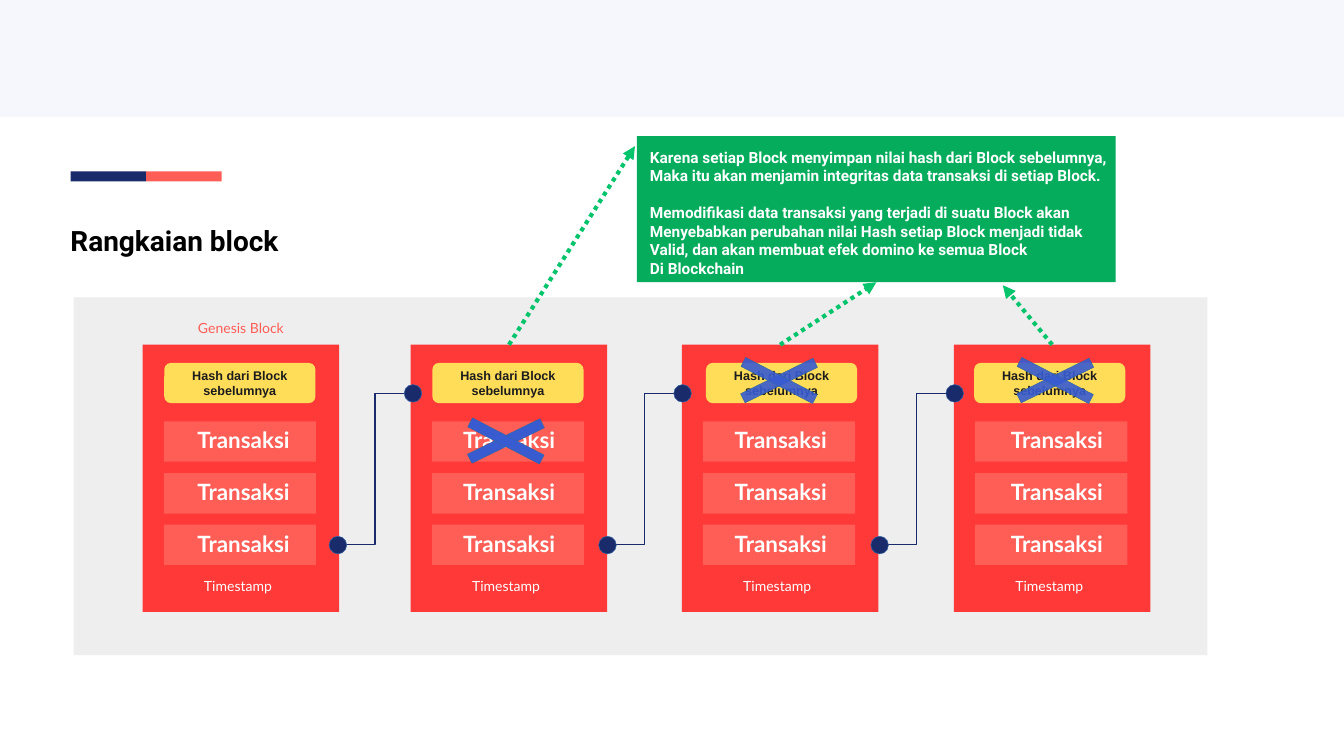
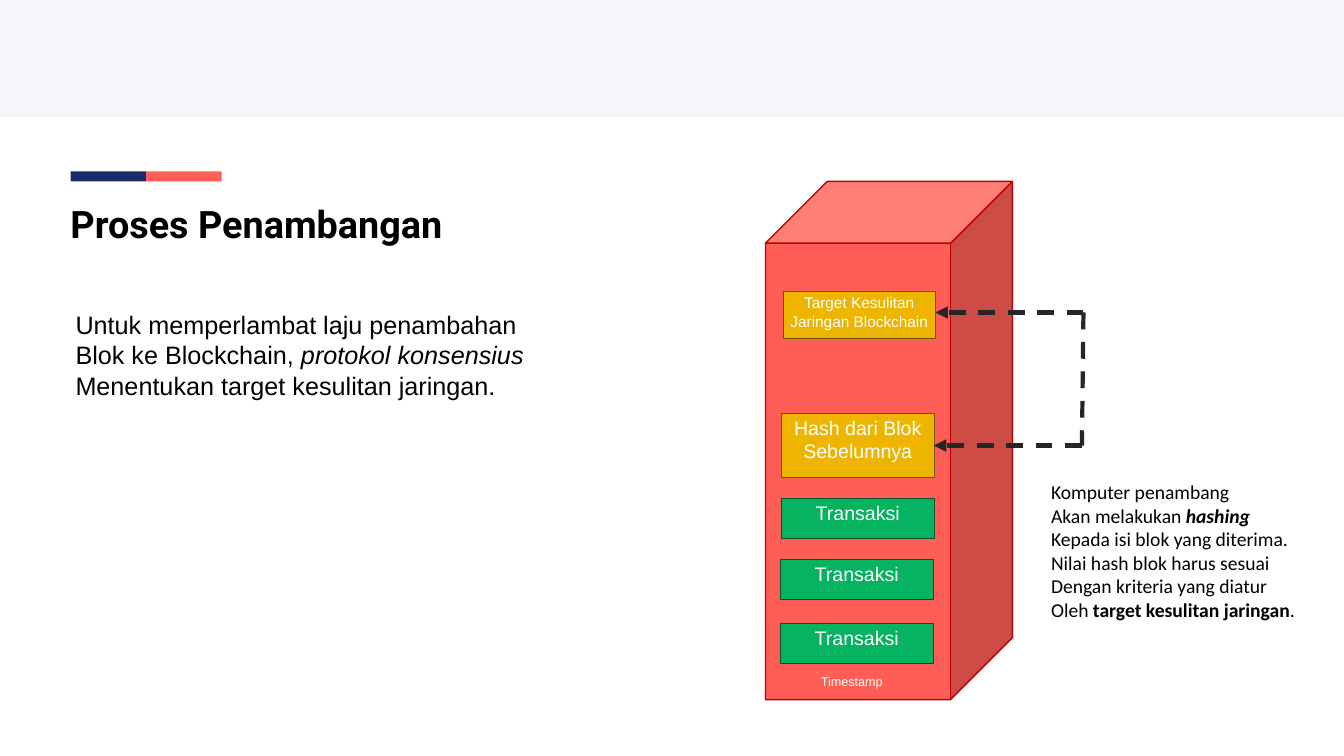
from dataclasses import dataclass

from lxml.etree import SubElement
from pptx import Presentation
from pptx.dml.color import RGBColor
from pptx.enum.dml import MSO_LINE as DASH
from pptx.enum.shapes import MSO_CONNECTOR as LINK, MSO_SHAPE as SHAPE
from pptx.enum.text import MSO_ANCHOR as ANCHOR, MSO_AUTO_SIZE as FIT, PP_ALIGN as ALIGN
from pptx.oxml.ns import qn
from pptx.util import Emu, Pt

PX = 9144  # 100 px to the inch
SLIDE_W, SLIDE_H = 2667, 1500


@dataclass(frozen=True)
class Theme:
    band: str = "F5F7FD"
    navy: str = "1A2B6B"
    coral: str = "FF5E57"
    red: str = "FF3838"
    panel: str = "EEEEEE"
    yellow: str = "FFDD59"
    ink: str = "1C1C1C"
    black: str = "000000"
    white: str = "FFFFFF"
    cross: str = "375BD2"
    edge: str = "3465A4"
    callout: str = "04AC5C"
    arrow: str = "05C46B"
    cube_edge: str = "C00000"
    green: str = "05B360"
    green_edge: str = "02522C"
    gold: str = "EEB500"
    gold_edge: str = "705500"
    dash: str = "262626"
    title_font: str = "Roboto"
    block_font: str = "Lato"
    body_font: str = "Arial"
    note_font: str = "Calibri"
    thin: float = 0.75
    medium: int = 2
    thick: int = 6
    tiny: int = 18
    small: int = 20
    callout_size: int = 22
    label: int = 28
    bar: int = 32
    body: int = 36
    title: int = 40
    big_title: int = 54


T = Theme()

# Content: slide 1
CHAIN_TITLE = "Rangkaian block"
HASH_LINES = ["Hash dari Block", "sebelumnya"]
# block left, hash pill offset, bar label offset
BLOCKS = [(283, 43, 57), (815, 43, 52), (1353, 48, 53), (1893, 40, 61)]
BAR_TOPS = [836, 939, 1041]
LINK_STARTS = [664, 1199, 1739]
CROSSES = [(924, 865, 99), (1466, 745, 90), (2014, 745, 90)]  # left, top, opacity
CALLOUT_ARROWS = [(1010, 684, 1260, 290), (1548, 684, 1739, 560), (2088, 684, 1990, 566)]
CALLOUT = [
    "Karena setiap Block menyimpan nilai hash dari Block sebelumnya,",
    "Maka itu akan menjamin integritas data transaksi di setiap Block.",
    "Memodifikasi data transaksi yang terjadi di suatu Block akan",
    "Menyebabkan perubahan nilai Hash setiap Block menjadi tidak",
    "Valid, dan akan membuat efek domino ke semua Block",
    "Di Blockchain",
]
CALLOUT_BREAK = 2  # line that opens the second passage

# Content: slide 2; mixed lines are (text, marks) pairs, b = bold, i = italic
MINING_TITLE = "Proses Penambangan"
MINING_INTRO = [
    "Untuk memperlambat laju penambahan",
    [("Blok ke Blockchain, ", ""), ("protokol konsensius", "i")],
    "Menentukan target kesulitan jaringan.",
]
MINING_NOTE = [
    "Komputer penambang",
    [("Akan melakukan ", ""), ("hashing", "bi")],
    "Kepada isi blok yang diterima.",
    "Nilai hash blok harus sesuai",
    "Dengan kriteria yang diatur",
    [("Oleh ", ""), ("target kesulitan jaringan", "b"), (".", "")],
]
# left, top, height, lines, type size, fill, edge
GREEN, GOLD = (T.green, T.green_edge), (T.gold, T.gold_edge)
FIELDS = [
    (1549, 1237, 80, ["Transaksi"], T.label, *GREEN),
    (1549, 1109, 80, ["Transaksi"], T.label, *GREEN),
    (1551, 989, 80, ["Transaksi"], T.label, *GREEN),
    (1551, 820, 127, ["Hash dari Blok", "Sebelumnya"], T.label, *GOLD),
    (1554, 577, 94, ["Target Kesulitan", "Jaringan Blockchain"], T.callout_size, *GOLD),
]
# start, end, has arrowhead
BRACKET = [
    (2150, 620, 1856, 620, True),
    (2147, 884, 1853, 884, True),
    (2150, 620, 2147, 884, False),
]


# Drawing helpers
def px(*values):
    return [Emu(v * PX) for v in values]


def rgb(color):
    return RGBColor.from_string(color)


def shape(s, kind, box, fill, edge=None, width=T.thin):
    sp = s.shapes.add_shape(kind, *px(*box))
    sp.shadow.inherit = False
    sp.fill.solid()
    sp.fill.fore_color.rgb = rgb(fill)
    if edge:
        sp.line.color.rgb = rgb(edge)
        sp.line.width = Pt(width)
    else:
        sp.line.fill.background()
    return sp


def write(sp, lines, font, size, color, bold=False, align=ALIGN.LEFT,
          anchor=ANCHOR.TOP, wrap=True):
    tf = sp.text_frame
    tf.word_wrap = wrap
    tf.vertical_anchor = anchor
    for i, line in enumerate(lines):
        p = tf.add_paragraph() if i else tf.paragraphs[0]
        p.alignment = align
        for text, marks in [(line, "")] if isinstance(line, str) else line:
            r = p.add_run()
            r.text = text
            r.font.name = font
            r.font.size = Pt(size)
            r.font.color.rgb = rgb(color)
            r.font.bold = bold or "b" in marks
            r.font.italic = "i" in marks
    return tf


def label(s, box, lines, font, size, color, bold=False, grow=False):
    tf = write(s.shapes.add_textbox(*px(*box)), lines, font, size, color, bold, wrap=not grow)
    if grow:
        tf.auto_size = FIT.SHAPE_TO_FIT_TEXT
    return tf


def line(s, ends, color, width, kind=LINK.STRAIGHT, dash=None, arrow=False):
    c = s.shapes.add_connector(kind, *px(*ends))
    c.line.color.rgb = rgb(color)
    c.line.width = Pt(width)
    if dash:
        c.line.dash_style = dash
    spPr = c.element.spPr
    if arrow:
        SubElement(spPr.find(qn("a:ln")), qn("a:tailEnd"), type="triangle")
    SubElement(spPr, qn("a:effectLst"))


def new_slide(prs, title, top, size):
    s = prs.slides.add_slide(prs.slide_layouts[6])
    shape(s, SHAPE.RECTANGLE, (0, 0, SLIDE_W, 232), T.band)
    for i, color in enumerate((T.navy, T.coral)):
        shape(s, SHAPE.RECTANGLE, (140 + 150 * i, 340, 150, 20), color)
    label(s, (130, top, 1989, 149), [title], T.title_font, size, T.black, bold=True)
    return s


# Parts of the chain
def chain_block(s, left, pill_dx, label_dx):
    shape(s, SHAPE.RECTANGLE, (left, 684, 390, 530), T.red)
    for top in BAR_TOPS:
        shape(s, SHAPE.RECTANGLE, (left + 42, top, 302, 80), T.coral)
        label(s, (left + 42 + label_dx, top + 5, 211, 81), ["Transaksi"],
              T.block_font, T.bar, T.white, bold=True)
    label(s, (left + 112, 1140, 156, 54), ["Timestamp"], T.block_font, T.small, T.white)
    pill = shape(s, SHAPE.ROUNDED_RECTANGLE, (left + pill_dx, 720, 300, 80), T.yellow)
    write(pill, HASH_LINES, T.body_font, T.tiny, T.ink, bold=True,
          align=ALIGN.CENTER, anchor=ANCHOR.MIDDLE, wrap=False)


def chain_link(s, start):
    line(s, (start, 1080, start + 160, 781), T.navy, T.medium, LINK.ELBOW)
    for left, top in ((start - 11, 1064), (start + 138, 763)):
        shape(s, SHAPE.OVAL, (left, top, 35, 35), T.navy, T.edge)


def cross_out(s, left, top, opacity):
    for angle in (333.9, 27.4):
        sp = shape(s, SHAPE.RECTANGLE, (left, top, 160, 20), T.cross, T.edge)
        sp.rotation = angle
        color = sp.element.spPr.find(qn("a:solidFill"))[0]
        SubElement(color, qn("a:alpha"), val=str(opacity * 1000))


# Slides
def chain_slide(prs):
    s = new_slide(prs, CHAIN_TITLE, 438, T.title)
    shape(s, SHAPE.RECTANGLE, (146, 590, 2250, 710), T.panel)
    label(s, (383, 630, 198, 54), ["Genesis Block"], T.block_font, T.small, T.coral)
    for block in BLOCKS:
        chain_block(s, *block)
    for start in LINK_STARTS:
        chain_link(s, start)
    for cross in CROSSES:
        cross_out(s, *cross)
    shape(s, SHAPE.RECTANGLE, (1264, 270, 950, 290), T.callout)
    for ends in CALLOUT_ARROWS:
        line(s, ends, T.arrow, T.thick, dash=DASH.ROUND_DOT, arrow=True)
    tf = label(s, (1280, 289, 980, 260), CALLOUT, T.title_font, T.callout_size,
               T.white, bold=True)
    tf.paragraphs[CALLOUT_BREAK].space_before = Pt(26)


def mining_slide(prs):
    s = new_slide(prs, MINING_TITLE, 394, T.big_title)
    label(s, (140, 609, 918, 192), MINING_INTRO, T.body_font, T.body, T.black, grow=True)
    shape(s, SHAPE.CUBE, (1519, 360, 490, 1028), T.coral, T.cube_edge, T.medium)
    for left, top, height, lines, size, fill, edge in FIELDS:
        sp = shape(s, SHAPE.RECTANGLE, (left, top, 302, height), fill, edge)
        write(sp, lines, T.body_font, size, T.white, align=ALIGN.CENTER)
    for *ends, arrow in BRACKET:
        line(s, ends, T.dash, T.thick, dash=DASH.DASH, arrow=arrow)
    label(s, (1619, 1332, 144, 40), ["Timestamp"], T.body_font, T.tiny, T.white, grow=True)
    label(s, (2076, 948, 510, 340), MINING_NOTE, T.note_font, T.label, T.black, grow=True)


def main():
    prs = Presentation()
    prs.slide_width, prs.slide_height = px(SLIDE_W, SLIDE_H)
    chain_slide(prs)
    mining_slide(prs)
    prs.save("out.pptx")


if __name__ == "__main__":
    main()
